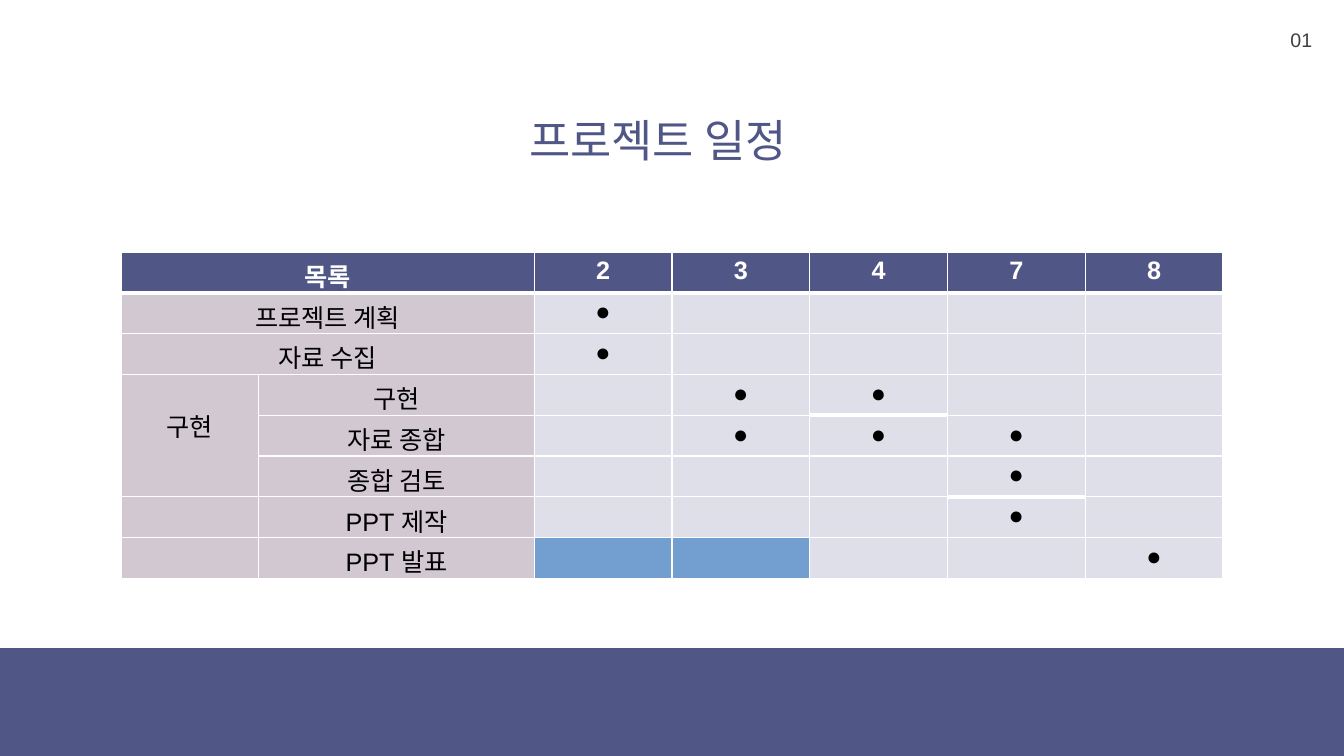
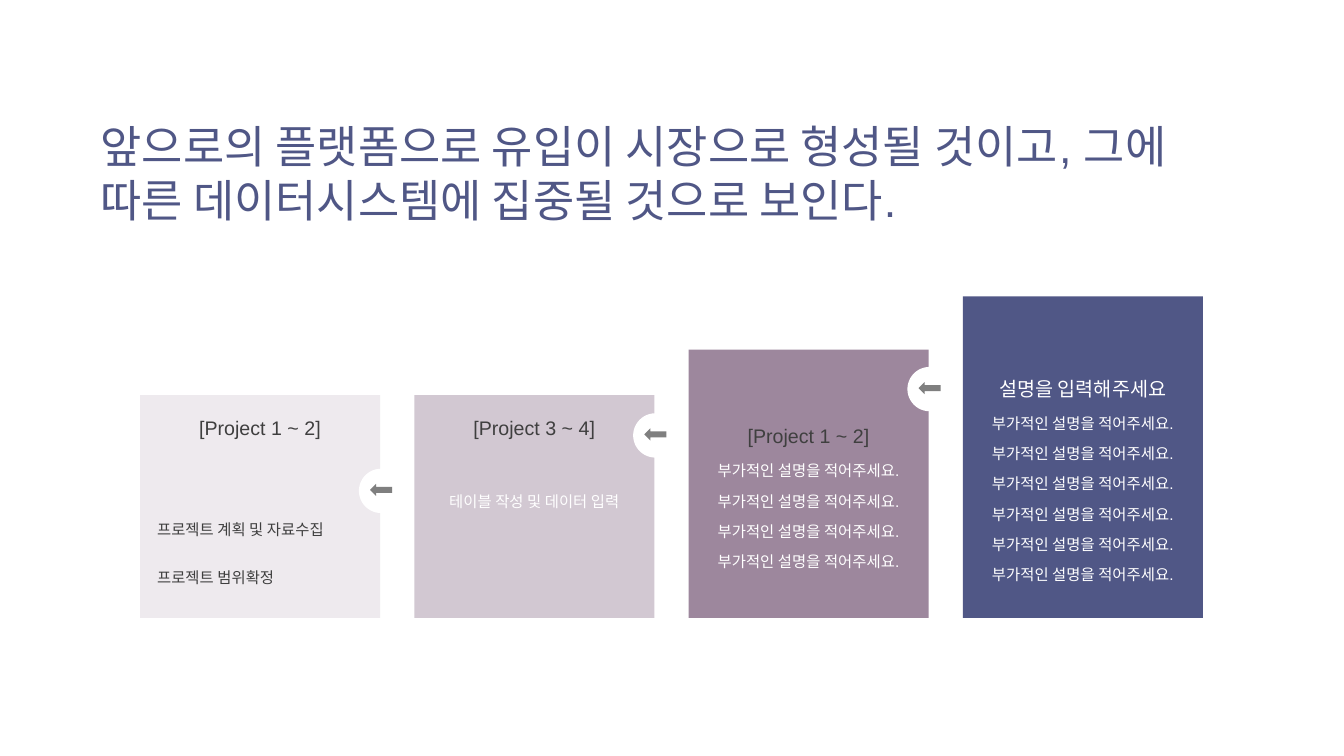
from pptx import Presentation
from pptx.dml.color import RGBColor
from pptx.enum.shapes import MSO_SHAPE
from pptx.enum.text import PP_ALIGN
from pptx.oxml.ns import qn
from pptx.util import Inches, Pt
from lxml.etree import SubElement

# Shared look
FONT = "Arial"
NAVY, MAUVE, PLUM, PALE = "505786", "D2C8D2", "9D879D", "EEEAEE"
GRID, BLUE = "DEDFE8", "729FCF"
WHITE, BLACK, DARK, GRAY = "FFFFFF", "000000", "3F3F3F", "7F7F7F"
MID, LEFT = PP_ALIGN.CENTER, PP_ALIGN.LEFT

# Schedule: row label, months with a dot
HEAD = ["2", "3", "4", "7", "8"]
TASKS = [
    ("프로젝트 계획", "2"),
    ("자료 수집", "2"),
    ("구현", "34"),
    ("자료 종합", "347"),
    ("종합 검토", "7"),
    ("PPT 제작", "7"),
    ("PPT 발표", "8"),
]
STAGE = "구현"
THICK = {(3, 5), (5, 6)}  # cells with a heavy line below
MARKED = (7, 3)

# Steps: fill, top, head, head top, head colour, lines, body top,
# body colour, alignment, line spacing, gap between lines, badge top
NOTE = "부가적인 설명을 적어주세요."
STEPS = [
    (PALE, 3.92, "[Project 1 ~ 2]", 4.01, DARK,
     ["프로젝트 계획 및 자료수집", "프로젝트 범위확정"],
     5.06, DARK, LEFT, 1.29, 17, 4.65),
    (MAUVE, 3.92, "[Project 3 ~ 4]", 4.01, DARK,
     ["테이블 작성 및 데이터 입력"], 4.72, WHITE, MID, 1.64, 0, 4.1),
    (PLUM, 3.47, "[Project 1 ~ 2]", 4.09, DARK,
     [NOTE] * 4, 4.41, WHITE, MID, 1.64, 0, 3.64),
    (NAVY, 2.94, "설명을 입력해주세요", 3.62, WHITE,
     [NOTE] * 6, 3.94, WHITE, MID, 1.64, 0, None),
]


def color(code):
    return RGBColor.from_string(code)


def style(par, size, code, align=LEFT, bold=False):
    par.alignment = align
    for run in par.runs:
        font = run.font
        font.name, font.size, font.bold = FONT, Pt(size), bold
        font.color.rgb = color(code)


def add_text(slide, box, lines, size, code, align=LEFT, ratio=None, gap=0):
    frame = slide.shapes.add_textbox(*map(Inches, box)).text_frame
    frame.word_wrap = True
    frame.text = "\n".join(lines)
    for i, par in enumerate(frame.paragraphs):
        style(par, size, code, align)
        if ratio:
            par.line_spacing = ratio
        if i and gap:
            par.space_before = Pt(gap)


def add_title(slide, box, text):
    add_text(slide, box, [text], 32, NAVY)


def add_block(shapes, kind, box, code):
    shape = shapes.add_shape(kind, *map(Inches, box))
    shape.shadow.inherit = False
    shape.fill.solid()
    shape.fill.fore_color.rgb = color(code)
    shape.line.fill.background()
    return shape


def add_badge(slide, left, top):
    shapes = slide.shapes.add_group_shape().shapes
    add_block(shapes, MSO_SHAPE.OVAL, (left, top, 0.44, 0.44), WHITE)
    arrow = add_block(shapes, MSO_SHAPE.RIGHT_ARROW,
                      (left + 0.11, top + 0.15, 0.22, 0.12), GRAY)
    arrow.rotation = 180


# Table cells
def add_edges(cell, top, bottom):
    props = cell._tc.get_or_add_tcPr()
    for side, width in (("L", 1), ("R", 1), ("T", top), ("B", bottom)):
        line = SubElement(props, qn("a:ln" + side), w=str(Pt(width)))
        fill = SubElement(line, qn("a:solidFill"))
        SubElement(fill, qn("a:srgbClr"), val=WHITE)


def paint(cell, row, col):
    def weight(r):
        return 3 if r == 0 or (r, col) in THICK else 1

    add_edges(cell, weight(row - 1), weight(row))
    if row == 0:
        code = NAVY
    elif (row, col) == MARKED:
        code = BLUE
    else:
        code = MAUVE if col < 3 else GRID
    cell.fill.solid()
    cell.fill.fore_color.rgb = color(code)


def write(cell, text, head=False):
    cell.text = text
    style(cell.text_frame.paragraphs[0], 18, WHITE if head else BLACK,
          MID, head)


def add_plan(slide):
    rows, cols = len(TASKS) + 1, len(HEAD) + 3
    frame = slide.shapes.add_table(
        rows, cols, *map(Inches, (1.2, 2.5, 10.93, 3.24)))
    table = frame.table
    for row in range(rows):
        for col in range(cols):
            paint(table.cell(row, col), row, col)

    # Header and labels; the later tasks leave the first column free
    write(table.cell(0, 0), "목록", True)
    table.cell(0, 0).merge(table.cell(0, 2))
    for col, month in enumerate(HEAD, 3):
        write(table.cell(0, col), month, True)
    for row, (task, months) in enumerate(TASKS, 1):
        label = table.cell(row, 0 if row < 3 else 1)
        write(label, task)
        label.merge(table.cell(row, 2))
        for month in months:
            write(table.cell(row, 3 + HEAD.index(month)), "●")

    stage = table.cell(3, 0)
    write(stage, STAGE)
    stage.margin_top = Inches(0.33)
    stage.merge(table.cell(5, 0))


def add_step(slide, left, step):
    (fill, top, head, head_top, head_code, lines, body_top, body_code,
     align, ratio, gap, badge) = step
    base = 6.13
    add_block(slide.shapes, MSO_SHAPE.RECTANGLE,
              (left, top, 2.38, base - top), fill)
    if badge:
        add_badge(slide, left + 2.17, badge)
    add_text(slide, (left + 0.07, body_top, 2.24, 1.09), lines, 11,
             body_code, align, ratio, gap)
    add_text(slide, (left + 0.26, head_top, 1.86, 0.34), [head], 14,
             head_code, MID, 1.29)


def main():
    deck = Presentation()
    deck.slide_width, deck.slide_height = Inches(13.33), Inches(7.5)
    blank = deck.slide_layouts[6]

    # Schedule
    slide = deck.slides.add_slide(blank)
    add_title(slide, (5.15, 1.07, 4, 0.64), "프로젝트 일정")
    add_block(slide.shapes, MSO_SHAPE.RECTANGLE,
              (0, 6.43, 13.33, 1.07), NAVY)
    add_plan(slide)
    add_text(slide, (12.7, 0.23, 0.63, 0.34), ["01"], 14, DARK)

    # Steps
    slide = deck.slides.add_slide(blank)
    add_title(slide, (0.9, 1.13, 11.19, 1.18),
              "앞으로의 플랫폼으로 유입이 시장으로 형성될 것이고, "
              "그에 따른 데이터시스템에 집중될 것으로 보인다.")
    for i, step in enumerate(STEPS):
        add_step(slide, 1.39 + 2.72 * i, step)

    deck.save("out.pptx")


if __name__ == "__main__":
    main()
